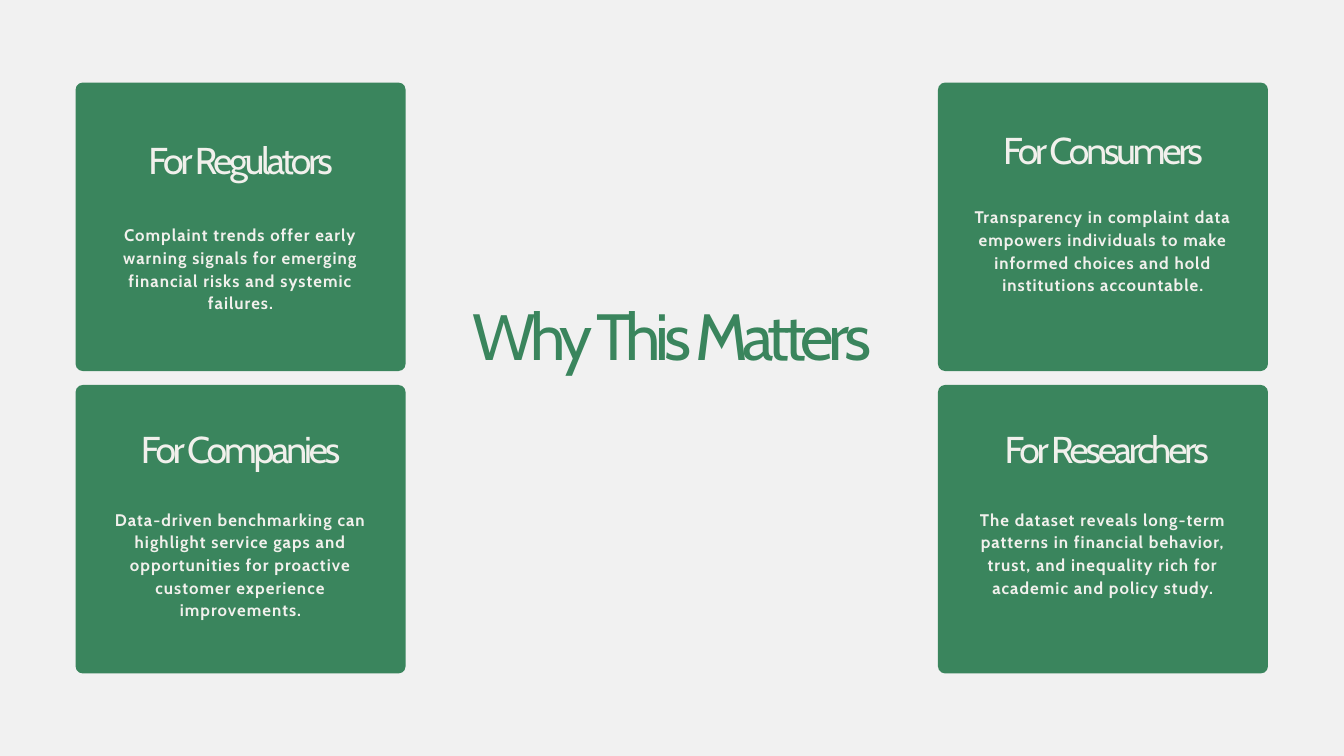
from pptx import Presentation
from pptx.dml.color import RGBColor
from pptx.enum.shapes import MSO_SHAPE
from pptx.enum.text import MSO_AUTO_SIZE, PP_ALIGN
from pptx.util import Pt

COLORS = {"background": "F1F1F1", "green": "3A855D", "cream": "F1F0EC"}
FONT = "Cabin"
CARD_WIDTH, CARD_HEIGHT, CARD_RADIUS = 353.5, 309, 7.5
CARD_LEFTS = (81, 1005)
CARD_TOPS = (88.5, 412.5)
HEADING_WIDTH, HEADING_HEIGHT = 270, 42
BODY_WIDTH = 279.5

TITLE_STYLE = {"size": 70, "leading": 67.2, "spacing": -5.7, "color": "green"}
HEADING_STYLE = {"size": 40, "leading": 38.4, "spacing": -3.3, "color": "cream"}
BODY_STYLE = {"size": 18, "leading": 24.3, "spacing": 1.1, "color": "cream", "bold": True}

# column, row, heading, heading top, heading shift, body, body top, body height
CARDS = [
    (0, 0, "For Regulators", 157, 0,
     "Complaint trends offer early warning signals for emerging financial risks "
     "and systemic failures.", 238.5, 96),
    (0, 1, "For Companies", 466, 0,
     "Data-driven benchmarking can highlight service gaps and opportunities for "
     "proactive customer experience improvements.", 543, 119.5),
    (1, 0, "For Consumers", 146, 0,
     "Transparency in complaint data empowers individuals to make informed choices "
     "and hold institutions accountable.", 219, 119.5),
    (1, 1, "For Researchers", 466, 4,
     "The dataset reveals long-term patterns in financial behavior, trust, and "
     "inequality rich for academic and policy study.", 543, 119.5),
]


def rgb(name):
    """Return the named colour."""
    return RGBColor.from_string(COLORS[name])


def add_panel(page, left, top):
    """Add one green rounded panel."""
    panel = page.shapes.add_shape(
        MSO_SHAPE.ROUNDED_RECTANGLE, Pt(left), Pt(top), Pt(CARD_WIDTH), Pt(CARD_HEIGHT))
    panel.adjustments[0] = CARD_RADIUS / CARD_HEIGHT
    panel.shadow.inherit = False
    panel.fill.solid()
    panel.fill.fore_color.rgb = rgb("green")
    panel.line.fill.background()


def add_text(page, text, center, top, width, height, style):
    """Add a centred text box around a vertical axis."""
    box = page.shapes.add_textbox(Pt(center - width / 2), Pt(top), Pt(width), Pt(height))
    frame = box.text_frame
    frame.margin_left = frame.margin_top = frame.margin_right = frame.margin_bottom = 0
    frame.word_wrap = True
    frame.auto_size = MSO_AUTO_SIZE.SHAPE_TO_FIT_TEXT
    para = frame.paragraphs[0]
    para.alignment = PP_ALIGN.CENTER
    para.line_spacing = Pt(style["leading"])
    span = para.add_run()
    span.text = text
    span._r.get_or_add_rPr().set("spc", str(round(style["spacing"] * 100)))
    para.font.name = FONT
    para.font.size = Pt(style["size"])
    para.font.bold = style.get("bold", False)
    para.font.color.rgb = rgb(style["color"])


def add_card(page, column, row, heading, heading_top, shift, body, body_top, body_height):
    """Add a panel with its heading and body."""
    left = CARD_LEFTS[column]
    center = left + CARD_WIDTH / 2
    add_panel(page, left, CARD_TOPS[row])
    add_text(page, heading, center + shift, heading_top,
             HEADING_WIDTH, HEADING_HEIGHT, HEADING_STYLE)
    add_text(page, body, center, body_top, BODY_WIDTH, body_height, BODY_STYLE)


def main():
    """Build and save the slide."""
    deck = Presentation()
    deck.slide_width, deck.slide_height = Pt(1440), Pt(810)
    page = deck.slides.add_slide(deck.slide_layouts[6])
    page.background.fill.solid()
    page.background.fill.fore_color.rgb = rgb("background")
    for card in CARDS:
        add_card(page, *card)
    add_text(page, "Why This Matters", 720, 333.5, 430.5, 139, TITLE_STYLE)
    deck.save("out.pptx")


if __name__ == "__main__":
    main()
